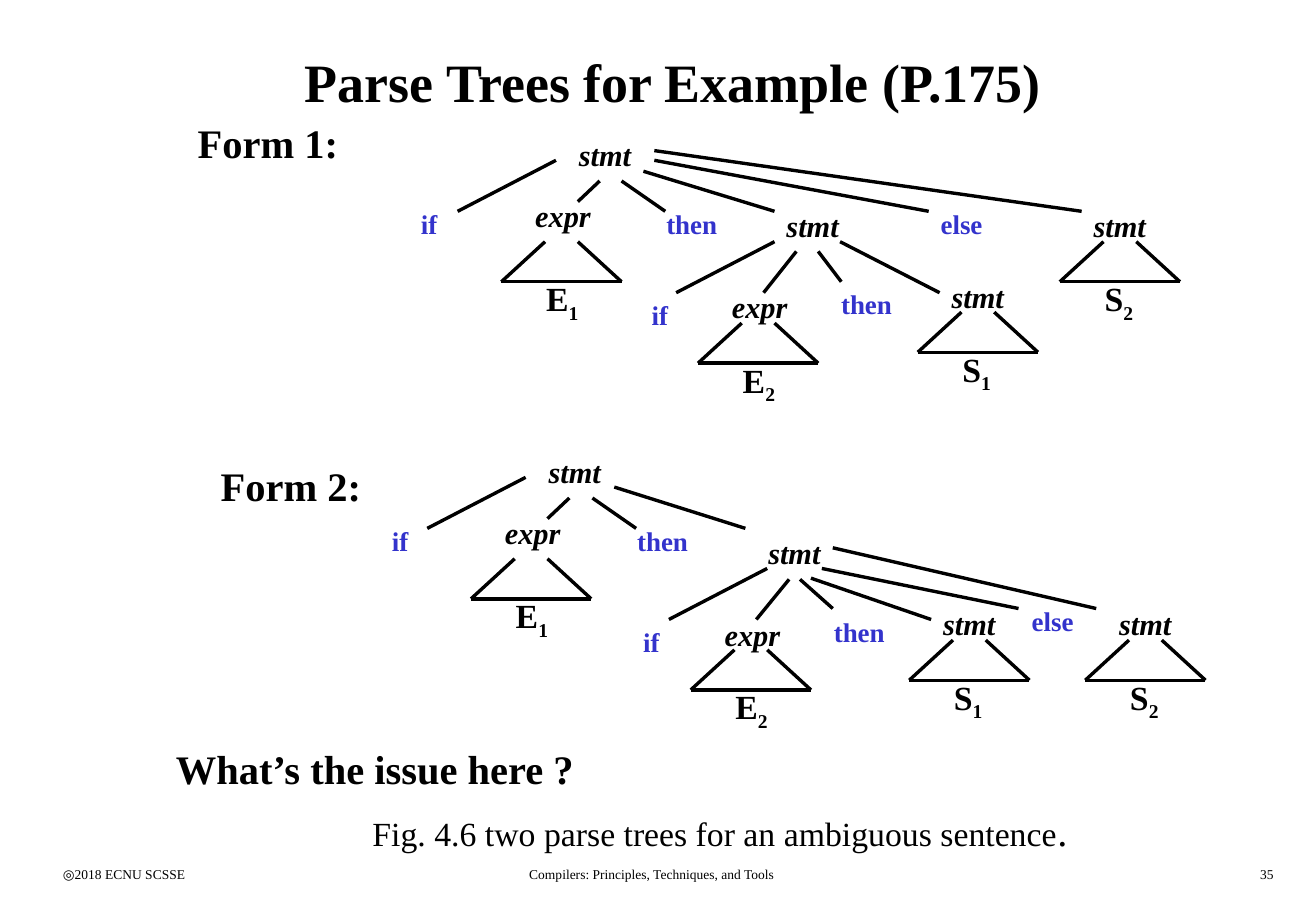
"""Build a slide comparing two parse trees of an ambiguous conditional sentence."""
from lxml import etree
from pptx import Presentation
from pptx.dml.color import RGBColor
from pptx.enum.shapes import MSO_CONNECTOR
from pptx.enum.text import MSO_ANCHOR, PP_ALIGN
from pptx.oxml.ns import qn
from pptx.util import Pt

PX = 9144
FONT = "Times New Roman"
BLACK, BLUE = "000000", "3333CC"
LEFT, CENTER, RIGHT = PP_ALIGN.LEFT, PP_ALIGN.CENTER, PP_ALIGN.RIGHT
MIDDLE = MSO_ANCHOR.MIDDLE
STRAIGHT = MSO_CONNECTOR.STRAIGHT

TITLE = {"size": Pt(32), "bold": True}
HEADING = {"size": Pt(24), "bold": True}
SYMBOL = {"size": Pt(18), "bold": True, "italic": True}
KEYWORD = {"size": Pt(16), "bold": True}
SUBTREE = {"size": Pt(20), "bold": True}
CAPTION = {"size": Pt(20), "bold": False}
CAPTION_END = {"size": Pt(24), "bold": False}
FOOTER = {"size": Pt(8), "bold": False}

FORM_1 = {
    "symbols": [("stmt", 467, 107), ("stmt", 638, 166)],
    "keywords": [
        ("if", 313, 166), ("then", 539, 166), ("else", 765, 166),
        ("if", 503, 241), ("then", 683, 232),
    ],
    "subtrees": [
        ("expr", "E", "1", 431, 157, 42), ("stmt", "S", "2", 891, 166, 33),
        ("expr", "E", "2", 593, 232, 34), ("stmt", "S", "1", 774, 224, 33),
    ],
    "branches": [
        (458, 132, 377, 174), (494, 149, 476, 166), (512, 149, 548, 174),
        (530, 141, 638, 174), (539, 132, 765, 174), (539, 124, 891, 174),
        (638, 199, 557, 241), (656, 207, 629, 241), (674, 207, 693, 232),
        (692, 199, 774, 241),
    ],
}
FORM_2 = {
    "symbols": [("stmt", 442, 368), ("stmt", 623, 435)],
    "keywords": [
        ("if", 289, 427), ("then", 515, 427),
        ("if", 496, 510), ("then", 677, 502), ("else", 840, 493),
    ],
    "subtrees": [
        ("expr", "E", "1", 406, 418, 42), ("expr", "E", "2", 587, 502, 33),
        ("stmt", "S", "1", 767, 493, 34), ("stmt", "S", "2", 912, 493, 34),
    ],
    "branches": [
        (433, 393, 352, 435), (469, 410, 451, 427), (488, 410, 524, 435),
        (506, 401, 614, 435), (632, 468, 551, 510), (650, 477, 623, 510),
        (659, 477, 686, 501), (668, 476, 767, 510), (677, 468, 839, 501),
        (686, 451, 903, 501),
    ],
}


def rgb(color):
    """Turn a hex string into a colour."""
    return RGBColor.from_string(color)


def add_run(p, text, style, color=BLACK):
    """Add a formatted run to a paragraph."""
    r = p.add_run()
    r.text = text
    for name, value in {"name": FONT, **style}.items():
        setattr(r.font, name, value)
    r.font.color.rgb = rgb(color)
    return r


def add_text(shapes, text, box, style, color=BLACK, align=LEFT, wrap=True):
    """Add a text box and return its paragraph."""
    tf = shapes.add_textbox(*(v * PX for v in box)).text_frame
    tf.word_wrap = wrap
    p = tf.paragraphs[0]
    p.alignment = align
    add_run(p, text, style, color)
    return p


def add_line(shapes, x1, y1, x2, y2):
    """Draw a straight black line without a shadow."""
    sp = shapes.add_connector(STRAIGHT, x1 * PX, y1 * PX, x2 * PX, y2 * PX)
    sp.line.color.rgb = rgb(BLACK)
    sp.line.width = Pt(2)
    etree.SubElement(sp._element.spPr, qn("a:effectLst"))


def add_symbol(shapes, text, x, y):
    """Add a grammar symbol node."""
    add_text(shapes, text, (x, y, 81, 40), SYMBOL)


def add_keyword(shapes, text, x, y):
    """Add a blue keyword leaf."""
    align = CENTER if text == "if" else LEFT
    add_text(shapes, text, (x, y, 81, 37), KEYWORD, BLUE, align)


def add_subtree(shapes, symbol, letter, index, x, y, drop):
    """Add a symbol, the triangle below it and its subscripted label."""
    add_symbol(shapes, symbol, x, y)
    top, base = y + drop, y + drop + 33
    left, right = x - 18, x + 81
    add_line(shapes, x + 18, top, left, base)
    add_line(shapes, x + 45, top, right, base)
    add_line(shapes, left, base, right, base)
    p = add_text(shapes, letter, (x + 9, top + 25, 54, 48), SUBTREE)
    r = add_run(p, index, SUBTREE)
    r._r.get_or_add_rPr().set("baseline", "-25000")


def add_tree(s, tree):
    """Add one parse tree as a group."""
    shapes = s.shapes.add_group_shape().shapes
    for branch in tree["branches"]:
        add_line(shapes, *branch)
    for symbol in tree["symbols"]:
        add_symbol(shapes, *symbol)
    for keyword in tree["keywords"]:
        add_keyword(shapes, *keyword)
    for subtree in tree["subtrees"]:
        add_subtree(shapes, *subtree)


def add_title(s, text):
    """Place and format the title placeholder."""
    sp = s.shapes.title
    box = {"left": 42, "top": 17, "width": 1025, "height": 100}
    for name, value in box.items():
        setattr(sp, name, value * PX)
    tf = sp.text_frame
    tf.vertical_anchor = MIDDLE
    p = tf.paragraphs[0]
    p.alignment = CENTER
    add_run(p, text, TITLE)


def main():
    """Build and save the slide."""
    prs = Presentation()
    prs.slide_width, prs.slide_height = 1084 * PX, 750 * PX
    s = prs.slides.add_slide(prs.slide_layouts[5])
    add_title(s, "Parse Trees for Example (P.175)")
    for text, x, y, width in [
        ("Form 1:", 153, 92, 244),
        ("Form 2:", 172, 375, 244),
        ("What’s the issue here ?", 135, 608, 515),
    ]:
        add_text(s.shapes, text, (x, y, width, 50), HEADING)
    for tree in (FORM_1, FORM_2):
        add_tree(s, tree)
    p = add_text(
        s.shapes, "Fig. 4.6 two parse trees for an ambiguous sentence",
        (297, 659, 593, 50), CAPTION, wrap=False,
    )
    add_run(p, ".", CAPTION_END)
    for text, x, width, align in [
        ("◎2018 ECNU SCSSE", 42, 226, LEFT),
        ("Compilers: Principles, Techniques, and Tools", 334, 406, CENTER),
        ("35", 833, 226, RIGHT),
    ]:
        add_text(s.shapes, text, (x, 708, width, 25), FOOTER, align=align)
    prs.save("out.pptx")


if __name__ == "__main__":
    main()
